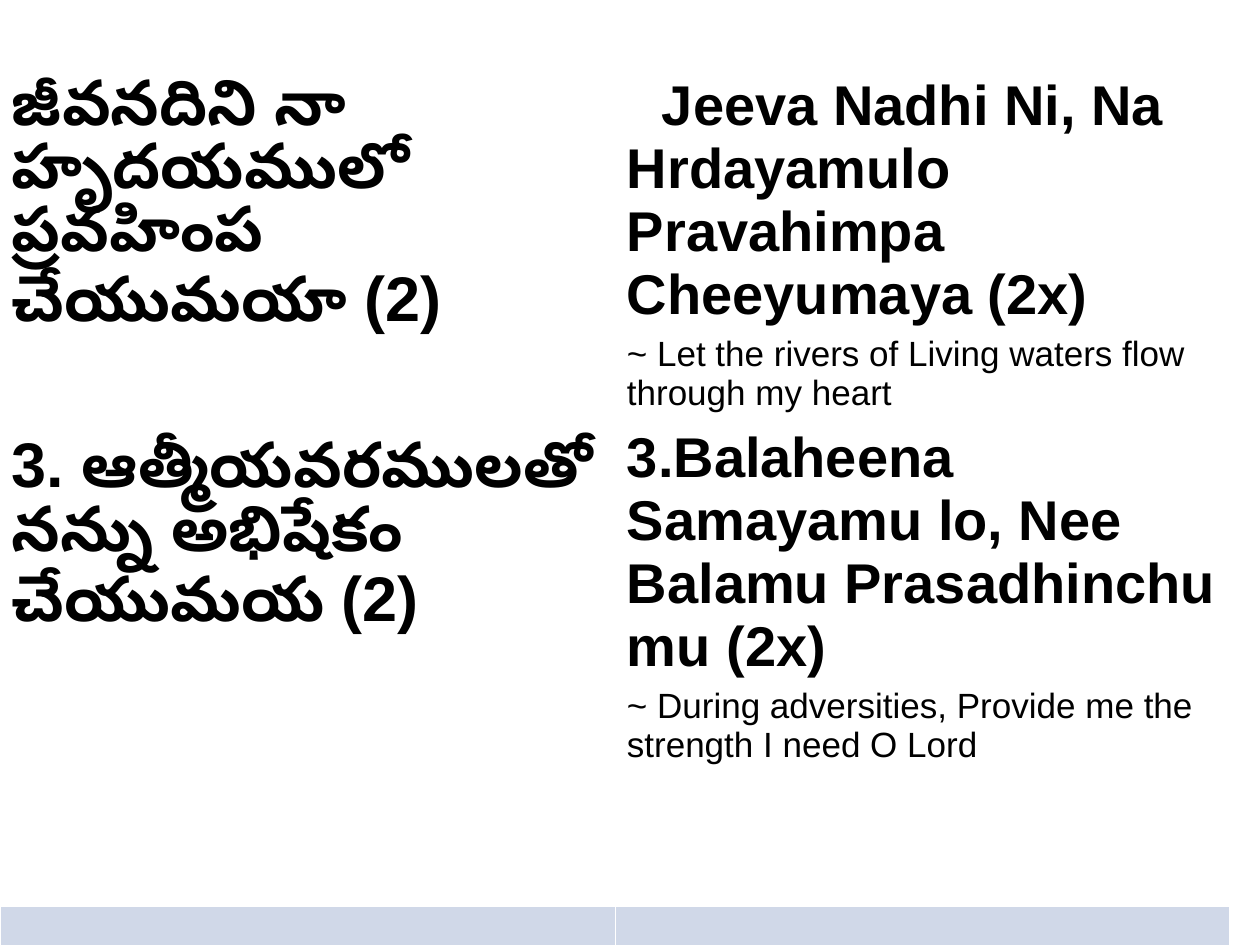
"""Build a song slide with Telugu and Latin lyrics side by side."""
from lxml.etree import SubElement as Sub
from pptx import Presentation as Deck
from pptx.dml.color import RGBColor as RGB
from pptx.oxml.ns import qn
from pptx.util import Pt

PX = 914400 / 126
WHITE = RGB(0xFF, 0xFF, 0xFF)
BLACK = RGB(0, 0, 0)
BLUE = RGB(0xD0, 0xD8, 0xE8)


def px(n):
    return round(n * PX)


def edge(cell, side, width):
    line = Sub(cell._tc.get_or_add_tcPr(), qn("a:ln" + side), w=str(Pt(width)))
    fill = Sub(line, qn("a:solidFill"))
    Sub(fill, qn("a:srgbClr"), val=str(WHITE))


deck = Deck()
deck.slide_width, deck.slide_height = px(1260), px(945)
slide = deck.slides.add_slide(deck.slide_layouts[6])

table = slide.shapes.add_table(2, 2, 0, px(21), px(1229), px(929)).table
table.first_row = table.horz_banding = False
for col, width in zip(table.columns, (615, 614)):
    col.width = px(width)
for row, height in zip(table.rows, (885, 44)):
    row.height = px(height)

for r, (color, top, low) in enumerate(((WHITE, 0.45, 1.47), (BLUE, 1.47, 0.45))):
    for cell in table.rows[r].cells:
        for side, width in zip("LRTB", (0.45, 0.45, top, low)):
            edge(cell, side, width)
        cell.fill.solid()
        cell.fill.fore_color.rgb = color
        cell.margin_left = cell.margin_right = px(12)
        cell.margin_top = px(0 if r else 54)
        cell.margin_bottom = 0

telugu = (
    ("జీవనదిని నా హృదయములో ప్రవహింప చేయుమయా (2)", 36, True, 0),
    ("3. ఆత్మీయవరములతో నన్ను అభిషేకం చేయుమయ (2)", 36, True, 55),
)
latin = (
    ("Jeeva Nadhi Ni, Na Hrdayamulo Pravahimpa Cheeyumaya (2x)", 32, True, 0),
    ("~ Let the rivers of Living waters flow through my heart", 20, False, 5),
    ("3.Balaheena Samayamu lo, Nee Balamu Prasadhinchu mu (2x)", 32, True, 8),
    ("~ During adversities, Provide me the strength I need O Lord", 20, False, 5),
)
for cell, verses in zip(table.rows[0].cells, (telugu, latin)):
    frame = cell.text_frame
    for i, (words, size, bold, gap) in enumerate(verses):
        para = frame.add_paragraph() if i else frame.paragraphs[0]
        para.space_before = Pt(gap)
        run = para.add_run()
        run.text = words
        font = run.font
        font.name, font.size, font.bold = "Arial", Pt(size), bold
        font.color.rgb = BLACK

first = table.cell(0, 1).text_frame.paragraphs[0]
first._p.get_or_add_pPr().set("indent", str(px(35)))

deck.save("out.pptx")
